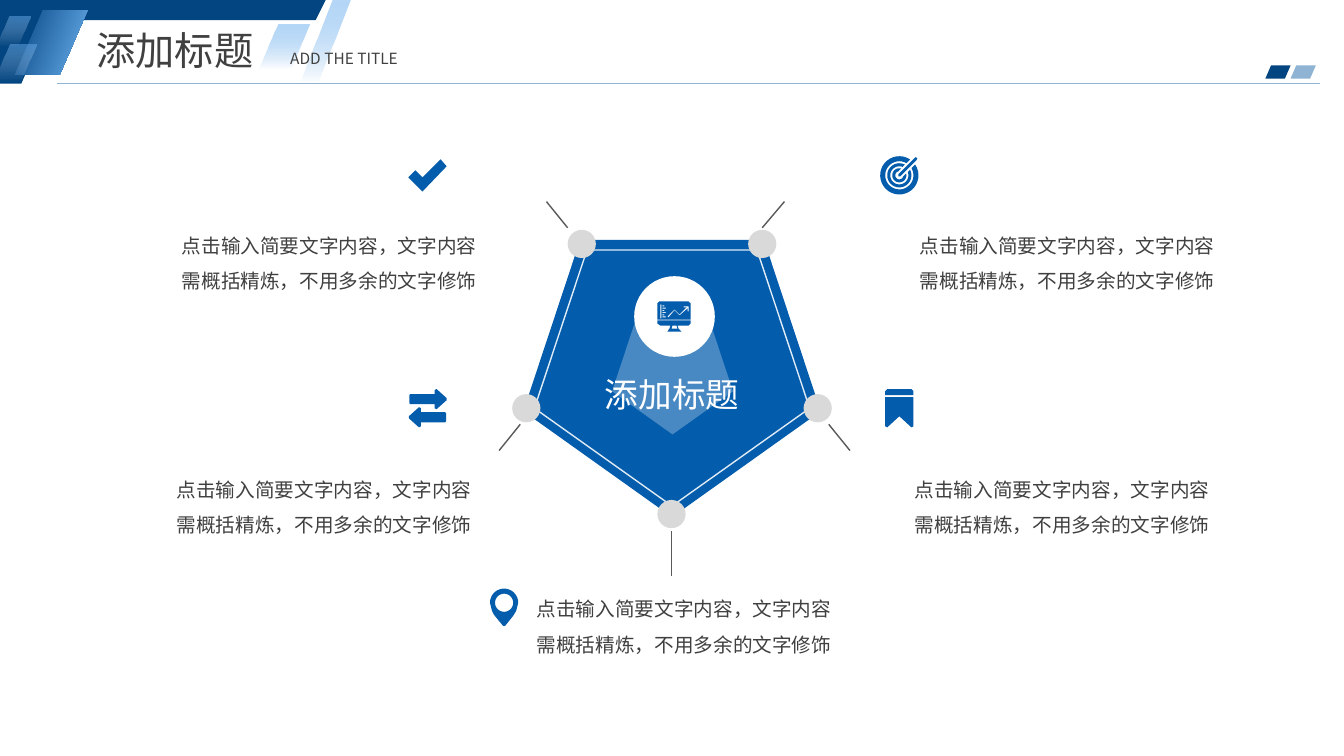
from dataclasses import dataclass
from math import asin, cos, pi, sin

from lxml import etree
from pptx import Presentation
from pptx.dml.color import RGBColor
from pptx.enum.shapes import MSO_CONNECTOR, MSO_SHAPE
from pptx.enum.text import MSO_AUTO_SIZE, PP_ALIGN
from pptx.oxml.ns import qn
from pptx.util import Inches, Pt

PENTAGON, OVAL = MSO_SHAPE.REGULAR_PENTAGON, MSO_SHAPE.OVAL
SLANT = MSO_SHAPE.PARALLELOGRAM
STRAIGHT = MSO_CONNECTOR.STRAIGHT
CENTER, JUSTIFY = PP_ALIGN.CENTER, PP_ALIGN.JUSTIFY
GROW = MSO_AUTO_SIZE.SHAPE_TO_FIT_TEXT

BLUE = RGBColor(0x03, 0x5C, 0xAC)
NAVY = RGBColor(0x03, 0x45, 0x81)
SKY = RGBColor(0x6C, 0xAF, 0xEF)
STEEL = RGBColor(0x8E, 0xB3, 0xD3)
PALE = RGBColor(0xDF, 0xEB, 0xF5)
WHITE = RGBColor(0xFF, 0xFF, 0xFF)
SILVER = RGBColor(0xD9, 0xD9, 0xD9)
GRAY = RGBColor(0x59, 0x59, 0x59)
INK = RGBColor(0x40, 0x40, 0x40)
FONT = "Noto Sans CJK SC"
BODY = "点击输入简要文字内容，文字内容需概括精炼，不用多余的文字修饰"

Point = tuple[float, float]
Contour = list[Point]


@dataclass
class Stop:
    color: RGBColor
    alpha: int = 100


@dataclass
class Slanted:
    box: tuple[float, float, float, float]
    stops: list[Stop]
    angle: int = 90
    slant: float = 0.432


@dataclass
class Label:
    text: str
    box: tuple[float, float, float, float]
    size: int
    color: RGBColor = INK
    align: PP_ALIGN = CENTER
    inset: tuple[float, float] = (0, 0)
    spacing: float = 1.0


prs = Presentation()
prs.slide_width, prs.slide_height = Inches(13.33), Inches(7.5)
s = prs.slides.add_slide(prs.slide_layouts[6])


def set_alpha(sp, alphas: list[int]) -> None:
    for clr, alpha in zip(sp._element.spPr.iter(qn("a:srgbClr")), alphas):
        if alpha < 100:
            etree.SubElement(clr, qn("a:alpha")).set("val", str(alpha * 1000))


def paint(sp, color: RGBColor) -> None:
    sp.shadow.inherit = False
    sp.fill.solid()
    sp.fill.fore_color.rgb = color
    sp.line.fill.background()


def add_preset(kind: MSO_SHAPE, box: tuple, color: RGBColor):
    sp = s.shapes.add_shape(kind, *map(Inches, box))
    paint(sp, color)
    return sp


def add_slanted(item: Slanted) -> None:
    sp = add_preset(SLANT, item.box, item.stops[0].color)
    sp.adjustments[0] = item.slant
    if len(item.stops) > 1:
        sp.fill.gradient()
        sp.fill.gradient_angle = 360 - item.angle
        for stop, want in zip(sp.fill.gradient_stops, item.stops):
            stop.color.rgb = want.color
    set_alpha(sp, [stop.alpha for stop in item.stops])


def add_outline(contours: list[Contour], color: RGBColor = BLUE) -> None:
    (first, *rest), *others = [[(Inches(x), Inches(y)) for x, y in c] for c in contours]
    builder = s.shapes.build_freeform(*first, scale=1.0)
    builder.add_line_segments(rest, close=True)
    for start, *points in others:
        builder.move_to(*start)
        builder.add_line_segments(points, close=True)
    paint(builder.convert_to_shape(), color)


def add_line(start: Point, end: Point, color: RGBColor = GRAY) -> None:
    line = s.shapes.add_connector(STRAIGHT, *map(Inches, start + end))
    line.line.color.rgb, line.line.width = color, Pt(1)
    etree.SubElement(line._element.spPr, qn("a:effectLst"))


def add_label(label: Label) -> None:
    tf = s.shapes.add_textbox(*map(Inches, label.box)).text_frame
    tf.word_wrap, tf.auto_size = True, GROW
    tf.margin_left = tf.margin_right = Inches(label.inset[0])
    tf.margin_top = tf.margin_bottom = Inches(label.inset[1])
    p = tf.paragraphs[0]
    p.text, p.alignment, p.line_spacing = label.text, label.align, label.spacing
    p.font.size, p.font.name, p.font.color.rgb = Pt(label.size), FONT, label.color
    etree.SubElement(p._p.pPr.find(qn("a:defRPr")), qn("a:ea")).set("typeface", FONT)


def arc(cx: float, cy: float, r: float, start: float, end: float, n: int = 32) -> Contour:
    angles = [start + (end - start) * i / n for i in range(n + 1)]
    return [(cx + r * cos(a), cy + r * sin(a)) for a in angles]


def rect(left: float, top: float, right: float, bottom: float) -> Contour:
    return [(left, top), (right, top), (right, bottom), (left, bottom)]


def split_ring(cx: float, cy: float, outer: float, inner: float) -> Contour:
    """Ring with a slot of even width towards the upper right."""
    gaps = [asin(min(1, 0.036 / r)) for r in (outer, inner)]
    a, b = [(gap - pi / 4, 7 * pi / 4 - gap) for gap in gaps]
    return arc(cx, cy, outer, *a) + arc(cx, cy, inner, *b)[::-1]


# Central pentagon
for box, color in [((5.19, 2.38, 2.95, 2.75), BLUE), ((5.3, 2.48, 2.73, 2.54), BLUE),
                   ((6.07, 3.19, 1.2, 1.12), PALE)]:
    pentagon = add_preset(PENTAGON, box, color)
    pentagon.rotation = 180
    if box[0] == 5.3:
        pentagon.line.color.rgb, pentagon.line.width = PALE, Pt(1)
set_alpha(pentagon, [32])
add_preset(OVAL, (6.29, 2.74, 0.8, 0.8), WHITE)

# Monitor icon: screen with a cut-out chart, then base and stand
ticks = [rect(6.57, 3.03 + 0.022 * i, 6.59 + 0.015 * (i % 2), 3.04 + 0.022 * i) for i in range(6)]
trend = [(6.62, 3.14), (6.69, 3.07), (6.74, 3.12), (6.81, 3.05), (6.78, 3.05), (6.78, 3.04),
         (6.83, 3.04), (6.83, 3.09), (6.82, 3.09), (6.82, 3.06), (6.74, 3.13), (6.69, 3.08),
         (6.63, 3.15)]
stand = [(6.52, 3.18), (6.85, 3.18), (6.85, 3.21), (6.83, 3.23), (6.72, 3.23), (6.73, 3.26),
         (6.76, 3.29), (6.62, 3.29), (6.64, 3.26), (6.65, 3.23), (6.55, 3.23), (6.52, 3.21)]
screen = [(6.52, 3.17), (6.52, 3.01), (6.54, 2.99), (6.83, 2.99), (6.85, 3.01), (6.85, 3.17)]
leg_gap = [(6.67, 3.23), (6.71, 3.23), (6.72, 3.26), (6.66, 3.26)]
add_outline([screen, rect(6.55, 3.02, 6.56, 3.16), *ticks, trend, stand, leg_gap])

# Header decoration
add_slanted(Slanted((-0.38, 0, 0.95, 0.83), [Stop(NAVY)]))
add_outline([[(0.38, 0), (3.23, 0), (3.13, 0.2), (0.38, 0.2)]], NAVY)
fade, glass = [Stop(SKY, 50), Stop(WHITE)], [Stop(SKY, 50), Stop(WHITE, 0)]
for item in [
    Slanted((0.15, 0.1, 0.72, 0.64), [Stop(NAVY), Stop(SKY)], 20),
    Slanted((2.56, 0.24, 0.51, 0.45), fade),
    Slanted((2.97, 0, 0.51, 0.83), fade, slant=0.648),
    Slanted((-0.06, 0.44, 0.42, 0.37), glass),
    Slanted((-0.03, 0.16, 0.33, 0.29), glass),
    Slanted((12.55, 0.65, 0.25, 0.13), [Stop(NAVY)]),
    Slanted((12.8, 0.65, 0.25, 0.13), [Stop(STEEL)]),
]:
    add_slanted(item)
add_line((0.57, 0.83), (13.09, 0.83), STEEL)

# Corner dots and leader lines
for left, top in [(5.63, 2.28), (5.08, 3.91), (6.52, 4.96), (7.97, 3.91), (7.42, 2.28)]:
    add_preset(OVAL, (left, top, 0.28, 0.28), SILVER)
for start, end in [((5.42, 2), (5.63, 2.26)), ((7.78, 2), (7.56, 2.26)),
                   ((4.95, 4.47), (5.16, 4.21)), ((8.43, 4.47), (8.22, 4.21)),
                   ((6.66, 5.71), (6.66, 5.27))]:
    add_line(start, end)

# Check mark, map pin, target, arrows and bookmark icons
add_outline([[(4.37, 1.58), (4.19, 1.76), (4.12, 1.69), (4.05, 1.76), (4.19, 1.9), (4.43, 1.65)]])
pin_tip = [(5.12, 6.06), (5.09, 6.11), (5.01, 6.21), (4.99, 6.21), (4.9, 6.1), (4.88, 6.06)]
add_outline([arc(5, 5.98, 0.14, -pi, 0) + pin_tip, arc(5, 5.98, 0.09, 0, 2 * pi)])
dart = [(9.07, 1.57), (9.08, 1.56), (9.1, 1.57), (9.09, 1.59), (8.93, 1.75), (8.91, 1.75),
        (8.91, 1.73)]
rings = [(0.19, 0.14), (0.12, 0.09), (0.07, 0.04)]
add_outline([split_ring(8.92, 1.74, *ring) for ring in rings] + [dart])
arrow_right = [(4.07, 3.91), (4.31, 3.91), (4.31, 3.87), (4.33, 3.86), (4.43, 3.95), (4.43, 3.97),
               (4.33, 4.06), (4.31, 4.05), (4.31, 4.01), (4.07, 4.01), (4.06, 4), (4.06, 3.92)]
arrow_left = [(8.485 - x, 8.1 - y) for x, y in arrow_right]
add_outline([arrow_right, arrow_left])
ribbon = [(8.78, 3.94), (9.06, 3.94), (9.06, 4.23), (9.04, 4.24), (8.92, 4.13), (8.8, 4.24),
          (8.78, 4.23)]
band = [(8.8, 3.86), (9.04, 3.86), (9.06, 3.88), (9.06, 3.92), (8.78, 3.92), (8.78, 3.88)]
add_outline([ribbon, band])

# Titles and descriptions
for label in [
    Label("添加标题", (0.86, 0.21, 1.95, 0.57), 28, align=JUSTIFY, inset=(0.1, 0.05)),
    Label("ADD THE TITLE", (2.78, 0.44, 1.95, 0.29), 11, align=JUSTIFY, inset=(0.1, 0.05)),
    Label("添加标题", (5.77, 3.71, 1.79, 0.4), 24, WHITE),
]:
    add_label(label)
for left, top in [(9.11, 2.2), (9.06, 4.62), (1.79, 2.2), (1.74, 4.62), (5.31, 5.81)]:
    add_label(Label(BODY, (left, top, 2.95, 0.65), 14, spacing=1.5))

prs.save("out.pptx")
